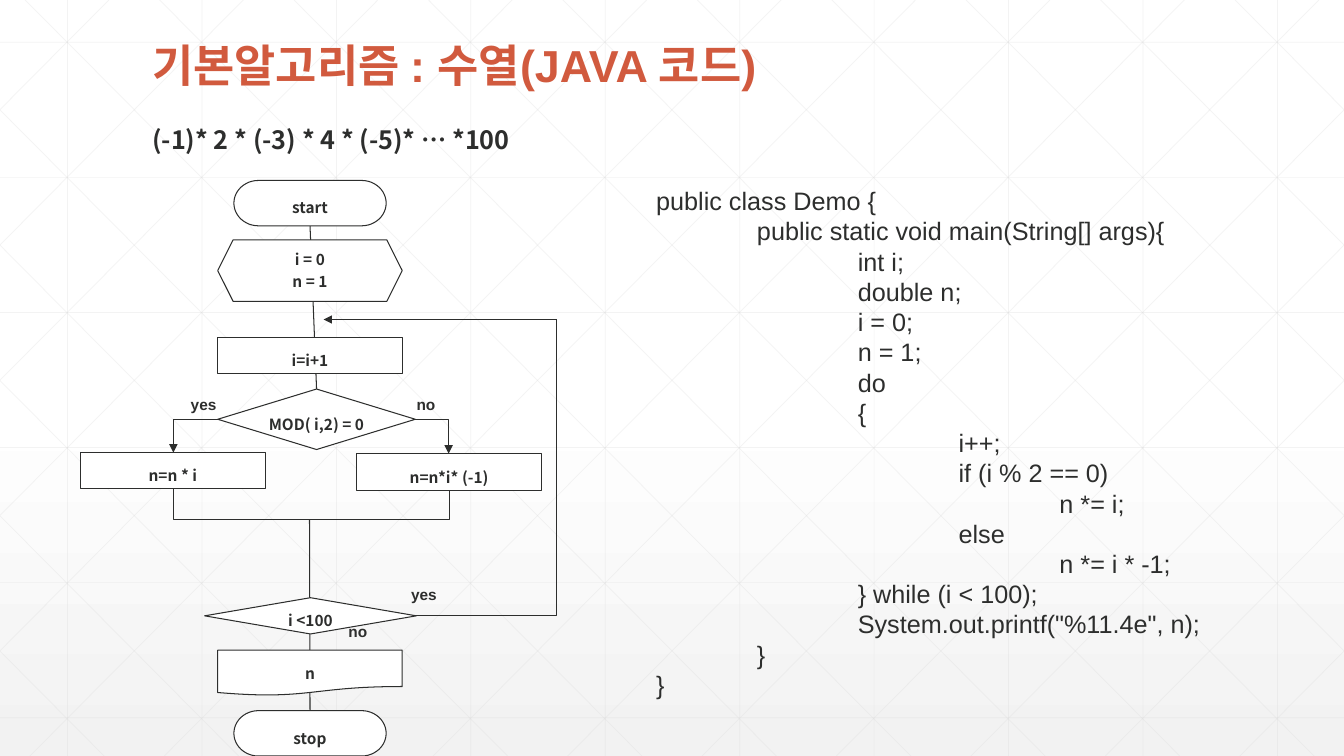
import pptx
import pptx.dml.color
import pptx.enum.shapes
import pptx.enum.text
import pptx.oxml
import pptx.oxml.ns
import pptx.util

Inches = pptx.util.Inches
Pt = pptx.util.Pt
RGB = pptx.dml.color.RGBColor.from_string
qn = pptx.oxml.ns.qn
SHAPE = pptx.enum.shapes.MSO_SHAPE
CONNECTOR = pptx.enum.shapes.MSO_CONNECTOR
ALIGN = pptx.enum.text.PP_ALIGN
ANCHOR = pptx.enum.text.MSO_ANCHOR

COLORS = {"ink": "2D2E2D", "title": "D15A3E", "grid": "D9D9D9", "white": "FFFFFF", "gray": "F2F2F2"}
LATIN, KOREAN = "Arial", "Noto Sans CJK KR"
WIDTH, HEIGHT = 13.33, 7.5


def write_text(shape, text, size=11, font=LATIN, color="ink", bold=True, align=ALIGN.LEFT,
               spacing=1.0, before=0, anchor=ANCHOR.TOP, wrap=True, inset=None):
    frame = shape.text_frame
    frame.text = text
    frame.word_wrap = wrap
    frame.auto_size = pptx.enum.text.MSO_AUTO_SIZE.NONE
    frame.vertical_anchor = anchor
    if inset is not None:
        frame.margin_left = frame.margin_right = frame.margin_top = frame.margin_bottom = Inches(inset)
    for paragraph in frame.paragraphs:
        paragraph.alignment = align
        paragraph.line_spacing = spacing
        paragraph.space_before = Pt(before)
        for run in paragraph.runs:
            run.font.size = Pt(size)
            run.font.bold = bold
            run.font.name = font
            run.font.color.rgb = RGB(COLORS[color])
            east_asian = pptx.oxml.parse_xml(
                f'<a:ea {pptx.oxml.ns.nsdecls("a")} typeface="{KOREAN}"/>')
            run.font._element.find(qn("a:latin")).addnext(east_asian)


def draw_line(begin, end, kind=CONNECTOR.STRAIGHT, color="ink", width=0.75, opacity=100, arrow=False):
    line = slide.shapes.add_connector(kind, *(Inches(value) for value in (*begin, *end)))
    line.line.color.rgb = RGB(COLORS[color])
    line.line.width = Pt(width)
    outline = line.line._get_or_add_ln()
    if opacity < 100:
        srgb = outline.find(".//" + qn("a:srgbClr"))
        srgb.append(srgb.makeelement(qn("a:alpha"), {"val": str(opacity * 1000)}))
    if arrow:
        outline.append(outline.makeelement(qn("a:tailEnd"), {"type": "triangle"}))
    properties = line.element.spPr
    properties.append(properties.makeelement(qn("a:effectLst"), {}))
    return line


presentation = pptx.Presentation()
presentation.slide_width = Inches(WIDTH)
presentation.slide_height = Inches(HEIGHT)
slide = presentation.slides.add_slide(presentation.slide_layouts[1])

# Background gradient, white fading to light gray at the bottom
background = slide.background.fill
background.gradient()
background.gradient_angle = 270
for stop, position, color in zip(background.gradient_stops, (0.53, 1), ("white", "gray")):
    stop.position = position
    stop.color.rgb = RGB(COLORS[color])

# Faint grid: verticals, horizontals and mirrored diagonals clipped to the slide
STEP = 4 / 3
grid = [((0.67 + STEP * i, 0), (0.67 + STEP * i, HEIGHT)) for i in range(10)]
grid += [((0, 0.42 + 1.34 * i), (WIDTH, 0.42 + 1.34 * i)) for i in range(6)]
for i in range(-5, 10):
    top = 0.25 + STEP * i
    left, right = max(top, 0), min(top + 7.45, WIDTH)
    upper, lower = ((x - top) * HEIGHT / 7.45 for x in (left, right))
    grid += [((left, upper), (right, lower)), ((WIDTH - left, upper), (WIDTH - right, lower))]
for begin, end in grid:
    draw_line(begin, end, color="grid", width=0.5, opacity=30)

# Title and formula, kept in front of the grid
title, formula = slide.shapes.title, slide.placeholders[1]
for placeholder, top, height in ((title, 0.37, 0.61), (formula, 1.03, 0.56)):
    placeholder.left, placeholder.top = Inches(1.41), Inches(top)
    placeholder.width, placeholder.height = Inches(10.5), Inches(height)
    placeholder.element.getparent().append(placeholder.element)
write_text(title, "기본알고리즘 : 수열(JAVA 코드)", size=32, color="title", spacing=0.9, anchor=ANCHOR.MIDDLE)
write_text(formula, "(-1)* 2 * (-3) * 4 * (-5)* … *100", size=18, font=KOREAN, spacing=1.5, before=3.6)
formula_format = formula.text_frame.paragraphs[0]._p.get_or_add_pPr()
formula_format.set("marL", "0")
formula_format.set("indent", "0")
formula_format.append(formula_format.makeelement(qn("a:buNone"), {}))

# Flowchart nodes: name, shape, left, top, width, height, text
nodes = {}
for name, kind, left, top, width, height, text in (
    ("start", SHAPE.FLOWCHART_TERMINATOR, 2.32, 1.79, 1.51, 0.45, "start"),
    ("stop", SHAPE.FLOWCHART_TERMINATOR, 2.32, 7.05, 1.51, 0.45, "stop"),
    ("increment", SHAPE.RECTANGLE, 2.16, 3.35, 1.83, 0.36, "i=i+1"),
    ("output", SHAPE.FLOWCHART_DOCUMENT, 2.16, 6.45, 1.83, 0.45, "n"),
    ("setup", SHAPE.HEXAGON, 2.16, 2.38, 1.83, 0.61, "i = 0\nn = 1"),
    ("parity", SHAPE.DIAMOND, 2.16, 3.86, 1.96, 0.6, "MOD( i,2) = 0"),
    ("limit", SHAPE.DIAMOND, 2.03, 5.93, 2.1, 0.36, "i <100"),
    ("even", SHAPE.RECTANGLE, 0.8, 4.49, 1.83, 0.36, "n=n * i"),
    ("odd", SHAPE.RECTANGLE, 3.54, 4.5, 1.83, 0.37, "n=n*i* (-1)"),
):
    node = slide.shapes.add_shape(kind, Inches(left), Inches(top), Inches(width), Inches(height))
    node.shadow.inherit = False
    node.fill.solid()
    node.fill.fore_color.rgb = RGB(COLORS["white"])
    node.line.color.rgb = RGB(COLORS["ink"])
    node.line.width = Pt(0.75)
    write_text(node, text, font=KOREAN, align=ALIGN.CENTER, anchor=ANCHOR.MIDDLE, inset=0,
               spacing=1.0 if name == "setup" else 1.5, before=2.2)
    nodes[name] = node

# Vertical flow lines run behind the nodes
upper_flow = draw_line((3.07, 2.24), (3.13, 3.86))
upper_flow.begin_connect(nodes["start"], 2)
upper_flow.end_connect(nodes["parity"], 0)
lower_flow = draw_line((3.07, 5.15), (3.07, 7.05))
lower_flow.end_connect(nodes["stop"], 0)
for flow in (upper_flow, lower_flow):
    nodes["start"].element.addprevious(flow.element)

# One-bend branches: left, top, width, height, rotation, flip, line width, arrow
for left, top, width, height, rotation, flip, weight, arrow in (
    (4.12, 3.17, 1.4, 2.94, 0, "flipV", 0.75, False),
    (1.72, 4.16, 0.44, 0.33, 180, "flipV", 0.5, True),
    (4.11, 4.16, 0.34, 0.34, 0, None, 0.5, True),
    (2.14, 4.43, 0.3, 1.14, 270, "flipH", 0.5, False),
    (3.17, 3.86, 0.28, 2.3, 90, None, 0.5, False),
):
    branch = draw_line((left, top), (left + width, top + height), kind=CONNECTOR.ELBOW,
                       width=weight, arrow=arrow)
    properties = branch.element.spPr
    properties.find(qn("a:prstGeom")).set("prst", "bentConnector2")
    transform = properties.find(qn("a:xfrm"))
    transform.set("rot", str(rotation * 60000))
    if flip:
        transform.set(flip, "1")
draw_line((5.52, 3.17), (3.21, 3.17), arrow=True)

# Branch labels
for text, left, top, width in (("no", 3.33, 6.12, 0.44), ("yes", 3.95, 5.76, 0.51),
                               ("yes", 1.79, 3.87, 0.46), ("no", 4.02, 3.87, 0.41)):
    label = slide.shapes.add_textbox(Inches(left), Inches(top), Inches(width), Inches(0.31))
    write_text(label, text, align=ALIGN.CENTER, wrap=False)

# Program listing: depth in tabs, code
listing = (
    (0, "public class Demo {"), (1, "public static void main(String[] args){"),
    (2, "int i;"), (2, "double n;"), (2, "i = 0;"), (2, "n = 1;"), (2, "do"), (2, "{"),
    (3, "i++;"), (3, "if (i % 2 == 0)"), (4, "n *= i;"), (3, "else"), (4, "n *= i * -1;"),
    (2, "} while (i < 100);"), (2, 'System.out.printf("%11.4e", n);'), (1, "}"), (0, "}"),
)
code = slide.shapes.add_textbox(Inches(6.41), Inches(1.79), Inches(6.67), Inches(5.25))
write_text(code, "\n".join("\t" * depth + text for depth, text in listing), size=18, bold=False)

# Tab stops one inch apart
for paragraph in code.text_frame.paragraphs:
    paragraph_format = paragraph._p.get_or_add_pPr()
    tab_stops = paragraph_format.makeelement(qn("a:tabLst"), {})
    for depth in range(1, 5):
        tab_stops.append(tab_stops.makeelement(qn("a:tab"), {"pos": str(Inches(depth)), "algn": "l"}))
    paragraph_format.append(tab_stops)

presentation.save("out.pptx")
